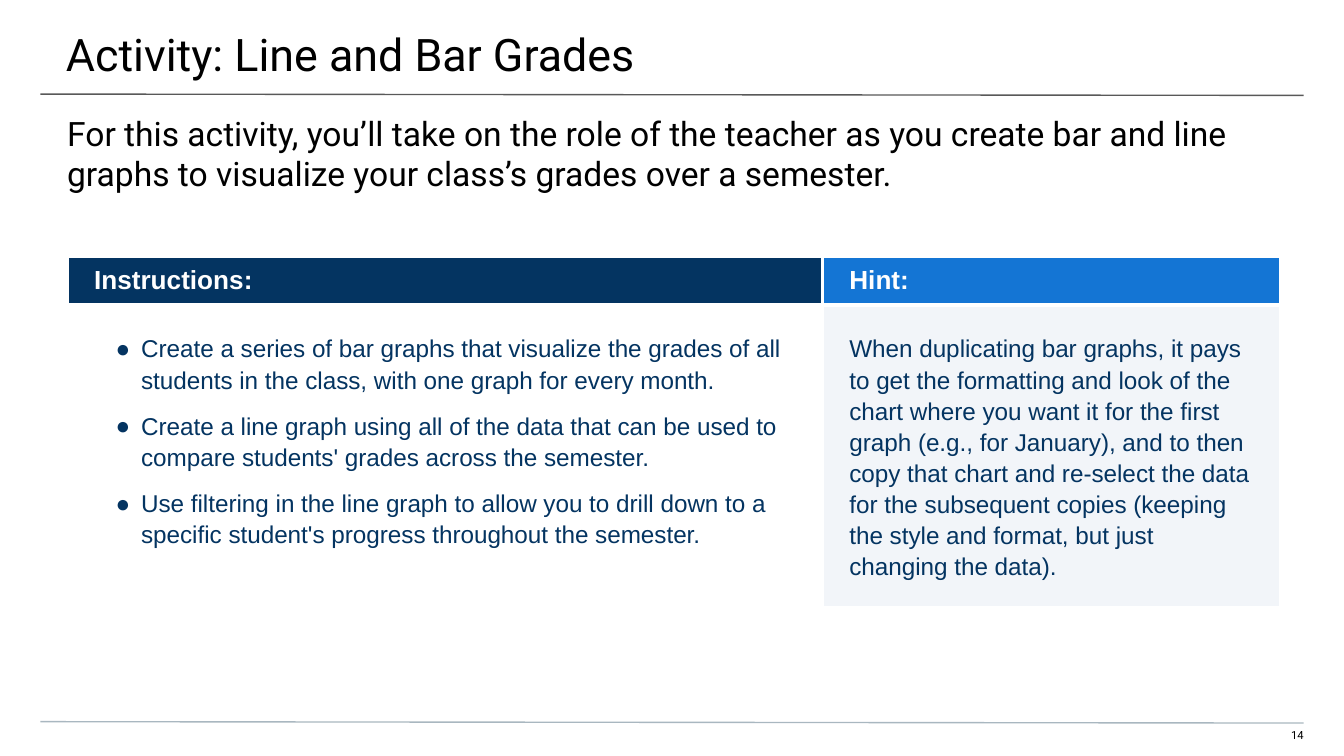
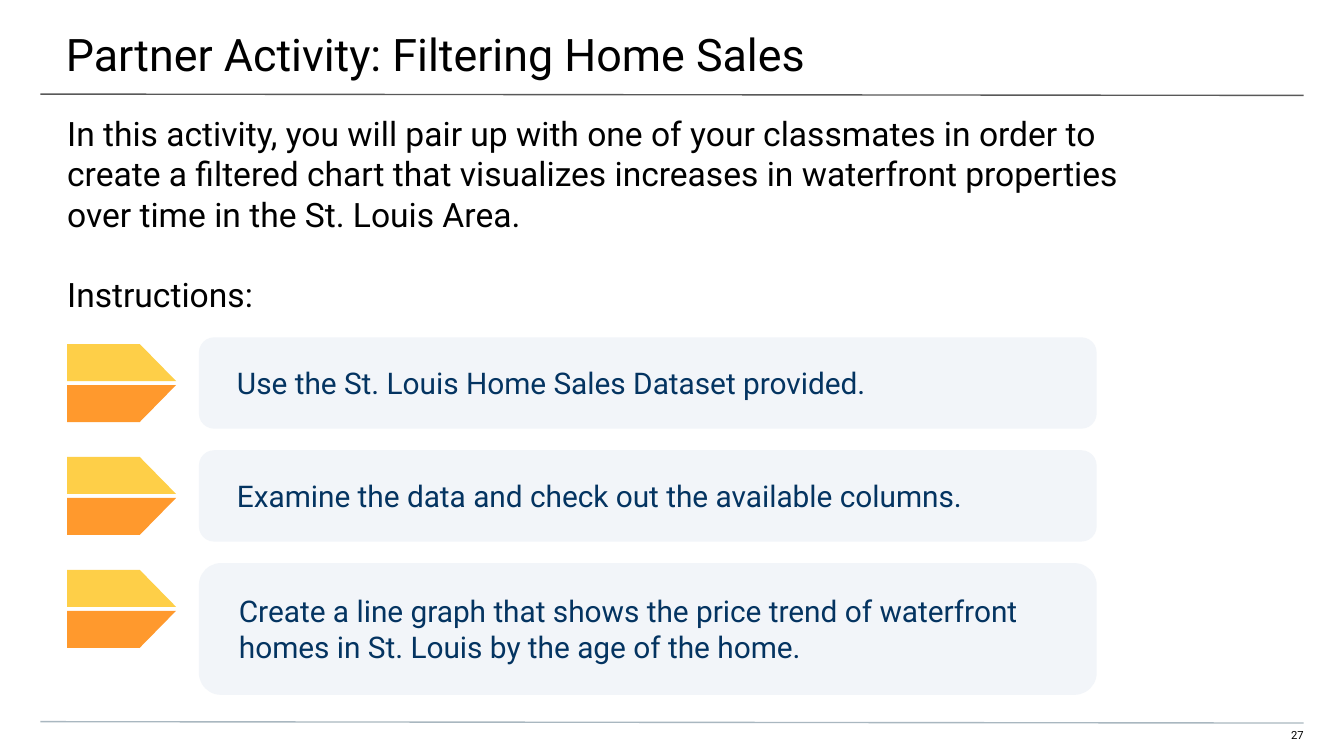
from lxml.etree import SubElement
from pptx import Presentation
from pptx.dml.color import RGBColor
from pptx.enum.shapes import MSO_CONNECTOR as Connector, MSO_SHAPE as Shape
from pptx.enum.text import MSO_ANCHOR as Anchor, MSO_AUTO_SIZE as AutoSize, PP_ALIGN as Align
from pptx.oxml import parse_xml
from pptx.oxml.ns import nsdecls, qn
from pptx.util import Inches, Pt

COLORS = {
    "black": "000000",
    "white": "FFFFFF",
    "navy": "043461",
    "blue": "1475D4",
    "pale": "F2F5F9",
    "yellow": "FECF48",
    "orange": "FF992D",
    "title_rule": "595959",
    "footer_rule": "A9B7C0",
}
HEADING_FONT = "Roboto"
TABLE_FONT = "Arial"
PAGE_WIDTH = 10
PAGE_HEIGHT = PAGE_WIDTH * 9 / 16
MARGIN = 0.5


def rgb(name):
    return RGBColor.from_string(COLORS[name])


def paint(target, color):
    target.fill.solid()
    target.fill.fore_color.rgb = rgb(color)


def write(para, text, size, color="black", font=HEADING_FONT, bold=False):
    """Add text to a paragraph, with a line break at each newline."""
    for index, line in enumerate(text.split("\n")):
        if index:
            para.add_line_break()
        span = para.add_run()
        span.text = line
        span.font.name = font
        span.font.size = Pt(size)
        span.font.bold = bold
        span.font.color.rgb = rgb(color)


def set_frame(frame, insets, anchor=Anchor.TOP):
    """Set wrapping, anchor and the left, top, right and bottom insets."""
    frame.word_wrap = True
    frame.auto_size = AutoSize.NONE
    frame.vertical_anchor = anchor
    (frame.margin_left, frame.margin_top,
     frame.margin_right, frame.margin_bottom) = map(Inches, insets)


def add_text_box(page, box, insets):
    frame = page.shapes.add_textbox(*map(Inches, box)).text_frame
    set_frame(frame, insets)
    return frame


def add_rule(page, top, color):
    ends = (0.3, top, PAGE_WIDTH - 0.3, top + 0.01)
    rule = page.shapes.add_connector(Connector.STRAIGHT, *map(Inches, ends))
    rule.line.color.rgb = rgb(color)
    rule.line.width = Pt(0.75)
    SubElement(rule._element.spPr, qn("a:effectLst"))


def add_page(deck, title, number):
    """Add a slide with the shared title, rules and page number."""
    page = deck.slides.add_slide(deck.slide_layouts[5])
    heading = page.shapes.title
    heading.left, heading.top, heading.width, heading.height = map(
        Inches, (-0.01, 0, 10.03, 0.58))
    set_frame(heading.text_frame, (MARGIN, 0.2, 0.3, 0.1))
    para = heading.text_frame.paragraphs[0]
    para.alignment = Align.LEFT
    write(para, title, 24)

    add_rule(page, 0.7, "title_rule")
    add_rule(page, 5.37, "footer_rule")
    footer = add_text_box(page, (9.41, 5.42, 0.29, 0.12), (0, 0, 0, 0.1))
    footer.paragraphs[0].alignment = Align.RIGHT
    write(footer.paragraphs[0], number, 6)
    return page


def add_intro(page, paragraphs):
    frame = add_text_box(page, (0, 0.74, PAGE_WIDTH, 0.4), (MARGIN, 0.1, MARGIN, 0))
    for index, text in enumerate(paragraphs):
        para = frame.add_paragraph() if index else frame.paragraphs[0]
        if index:
            para.space_before = Pt(21.5)
        write(para, text, 18)


def add_bullet(para):
    props = para._p.get_or_add_pPr()
    props.set("marL", str(Inches(0.35)))
    props.set("indent", str(Inches(-0.19)))
    color = SubElement(props, qn("a:buClr"))
    SubElement(color, qn("a:srgbClr"), val=COLORS["navy"])
    SubElement(props, qn("a:buFont"), typeface=TABLE_FONT)
    SubElement(props, qn("a:buChar"), char="●")


def format_cell(cell, fill, vertical_inset, anchor):
    cell.margin_left = cell.margin_right = Inches(0.2)
    cell.margin_top = cell.margin_bottom = Inches(vertical_inset)
    cell.vertical_anchor = anchor
    if fill:
        paint(cell, fill)
    else:
        cell.fill.background()
    props = cell._tc.get_or_add_tcPr()
    for index, side in enumerate("LRTB"):
        props.insert(index, parse_xml(
            f'<a:ln{side} {nsdecls("a")} w="{Pt(2.25)}"><a:solidFill>'
            f'<a:srgbClr val="{COLORS["white"]}"/></a:solidFill></a:ln{side}>'))


def add_guide_table(page, box, columns):
    """Draw columns of (width, heading, heading fill, body fill, bulleted, paragraphs)."""
    height = box[3]
    table = page.shapes.add_table(2, len(columns), *map(Inches, box)).table
    table.first_row = table.horz_banding = False
    heading_height = 0.36
    table.rows[0].height = Inches(heading_height)
    table.rows[1].height = Inches(height - heading_height)
    for index, (width, heading, heading_fill, body_fill, bulleted, texts) in enumerate(columns):
        table.columns[index].width = Inches(width)
        top_cell, body_cell = table.cell(0, index), table.cell(1, index)
        format_cell(top_cell, heading_fill, 0, Anchor.MIDDLE)
        write(top_cell.text_frame.paragraphs[0], heading, 14, "white", TABLE_FONT, True)
        format_cell(body_cell, body_fill, 0.2, Anchor.TOP)
        frame = body_cell.text_frame
        for order, text in enumerate(texts):
            para = frame.add_paragraph() if order else frame.paragraphs[0]
            para.line_spacing = 1.15
            if order:
                para.space_before = Pt(8)
            if bulleted:
                add_bullet(para)
            write(para, text, 13, "navy", TABLE_FONT)


def add_arrow(page, left, top):
    """Draw a two-tone arrow as a yellow half above its mirrored orange half."""
    width, half, gap, shoulder = 0.81, 0.275, 0.03, 0.54
    middle = top + half
    halves = (("yellow", top, middle), ("orange", middle + gap + half, middle + gap))
    for color, outer, inner in halves:
        points = [(left, inner), (left + width, inner), (left + shoulder, outer)]
        builder = page.shapes.build_freeform(Inches(left), Inches(outer))
        builder.add_line_segments([tuple(map(Inches, point)) for point in points])
        wedge = builder.convert_to_shape()
        wedge.shadow.inherit = False
        wedge.line.fill.background()
        paint(wedge, color)


def add_step(page, box, text):
    """Draw an arrow and, to its right, a rounded card with one instruction."""
    left, top, width, height = box
    card_offset = 0.98
    add_arrow(page, left, top + 0.05)
    card = page.shapes.add_shape(
        Shape.ROUNDED_RECTANGLE,
        *map(Inches, (left + card_offset, top, width - card_offset, height)))
    card.adjustments[0] = 0.167
    card.shadow.inherit = False
    card.line.fill.background()
    paint(card, "pale")
    set_frame(card.text_frame, (0.25, 0.1, 0.1, 0.1), Anchor.MIDDLE)
    para = card.text_frame.paragraphs[0]
    para.alignment = Align.LEFT
    write(para, text, 16, "navy")


def add_steps(page, box, steps):
    """Stack steps with an equal gap; each further line makes a card taller."""
    left, top, width = box
    for text in steps:
        height = 0.68 + 0.3 * text.count("\n")
        add_step(page, (left, top, width, height), text)
        top += height + 0.16


def build_grades_page(deck):
    page = add_page(deck, "Activity: Line and Bar Grades", "14")
    add_intro(page, [
        "For this activity, you’ll take on the role of the teacher as you create bar and line "
        "graphs to visualize your class’s grades over a semester."])
    add_guide_table(page, (MARGIN, 1.91, 9.03, 2.58), [
        (5.62, "Instructions:", "navy", None, True, [
            "Create a series of bar graphs that visualize the grades of all students "
            "in the class, with one graph for every month.",
            "Create a line graph using all of the data that can be used to compare "
            "students' grades across the semester.",
            "Use filtering in the line graph to allow you to drill down to a specific "
            "student's progress throughout the semester."]),
        (3.41, "Hint:", "blue", "pale", False, [
            "When duplicating bar graphs, it pays to get the formatting and look of the "
            "chart where you want it for the first graph (e.g., for January), and to then "
            "copy that chart and re-select the data for the subsequent copies (keeping "
            "the style and format, but just changing the data)."]),
    ])


def build_home_sales_page(deck):
    page = add_page(deck, "Partner Activity: Filtering Home Sales", "27")
    add_intro(page, [
        "In this activity, you will pair up with one of your classmates in order to\n"
        "create a filtered chart that visualizes increases in waterfront properties\n"
        "over time in the St. Louis Area.",
        "Instructions:"])
    add_steps(page, (MARGIN, 2.51, 7.66), [
        "Use the St. Louis Home Sales Dataset provided.",
        "Examine the data and check out the available columns.",
        "Create a line graph that shows the price trend of waterfront\n"
        "homes in St. Louis by the age of the home."])


def main():
    deck = Presentation()
    deck.slide_width, deck.slide_height = Inches(PAGE_WIDTH), Inches(PAGE_HEIGHT)
    build_grades_page(deck)
    build_home_sales_page(deck)
    deck.save("out.pptx")


if __name__ == "__main__":
    main()
